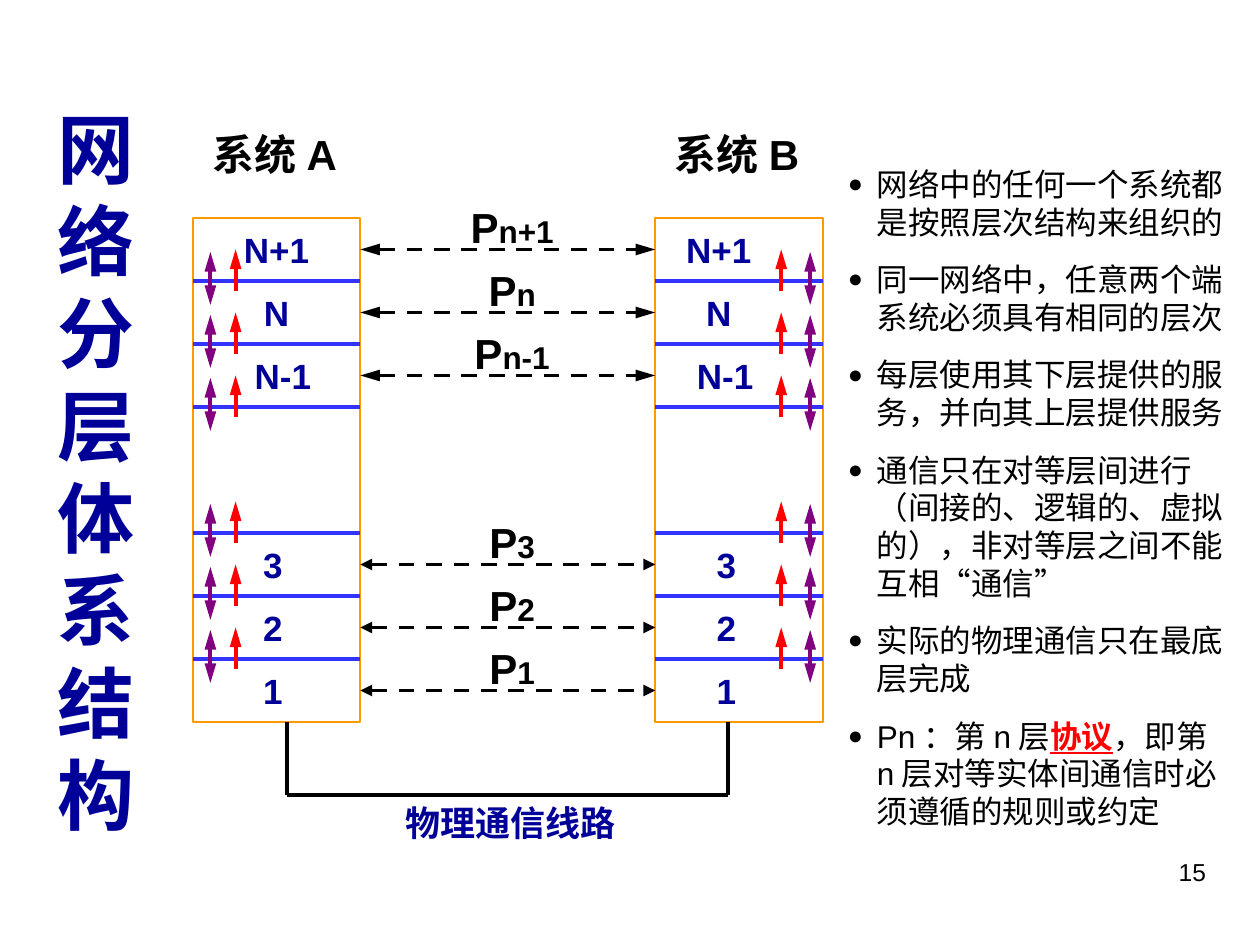
from lxml import etree
from pptx import Presentation
from pptx.dml.color import RGBColor
from pptx.enum.dml import MSO_LINE
from pptx.enum.shapes import MSO_CONNECTOR, MSO_SHAPE
from pptx.enum.text import MSO_ANCHOR, MSO_AUTO_SIZE, PP_ALIGN
from pptx.oxml.ns import qn
from pptx.util import Inches, Pt

STRAIGHT, RECT = MSO_CONNECTOR.STRAIGHT, MSO_SHAPE.RECTANGLE
LEFT, CENTER, RIGHT = PP_ALIGN.LEFT, PP_ALIGN.CENTER, PP_ALIGN.RIGHT
TOP, MIDDLE = MSO_ANCHOR.TOP, MSO_ANCHOR.MIDDLE
DASH, NO_FIT = MSO_LINE.DASH, MSO_AUTO_SIZE.NONE

BLACK = RGBColor(0x00, 0x00, 0x00)
WHITE = RGBColor(0xFF, 0xFF, 0xFF)
NAVY = RGBColor(0x00, 0x00, 0x99)
BLUE = RGBColor(0x33, 0x33, 0xFF)
ORANGE = RGBColor(0xFF, 0x99, 0x00)
RED = RGBColor(0xFF, 0x00, 0x00)
PURPLE = RGBColor(0x80, 0x00, 0x80)

ROW = 0.5
# layer name, protocol suffix, row counted from the top of a stack
LAYERS = [("N+1", "n+1", 0), ("N", "n", 1), ("N-1", "n-1", 2),
          ("3", "3", 5), ("2", "2", 6), ("1", "1", 7)]
GAP_ROW = 3
BORDERS = [1, 2, 3, 5, 6, 7]

POINTS = [
    "网络中的任何一个系统都是按照层次结构来组织的",
    "同一网络中，任意两个端系统必须具有相同的层次",
    "每层使用其下层提供的服务，并向其上层提供服务",
    "通信只在对等层间进行（间接的、逻辑的、虚拟的），非对等层之间不能互相“通信”",
    "实际的物理通信只在最底层完成",
    [("Pn：第n层", {}),
     ("协议", {"color": RED, "bold": True, "under": True}),
     ("，即第n层对等实体间通信时必须遵循的规则或约定", {})],
]


def add_bullet(para, indent):
    props = para._p.get_or_add_pPr()
    props.set("marL", str(Inches(indent)))
    props.set("indent", str(-Inches(indent)))
    color = etree.SubElement(props, qn("a:buClr"))
    etree.SubElement(color, qn("a:srgbClr"), val=str(BLACK))
    etree.SubElement(props, qn("a:buSzPct"), val="80000")
    etree.SubElement(props, qn("a:buFont"), typeface="Arial")
    etree.SubElement(props, qn("a:buChar"), char="●")


def write(frame, paras, size=18, color=BLACK, bold=False, align=LEFT,
          anchor=TOP, margins=(0.1, 0.05, 0.1, 0.05), indent=None, before=0):
    """Fill a frame; each paragraph is a string or a list of (text, format)."""
    frame.word_wrap = True
    frame.auto_size = NO_FIT
    frame.vertical_anchor = anchor
    (frame.margin_left, frame.margin_top,
     frame.margin_right, frame.margin_bottom) = map(Inches, margins)
    for num, runs in enumerate(paras):
        para = frame.add_paragraph() if num else frame.paragraphs[0]
        if indent:
            add_bullet(para, indent)
        para.alignment = align
        para.space_before = Pt(before if num else 0)
        for text, fmt in [(runs, {})] if isinstance(runs, str) else runs:
            run = para.add_run()
            run.text = text
            font = run.font
            font.name = "Arial"
            font.size = Pt(fmt.get("size", size))
            font.bold = fmt.get("bold", bold)
            font.underline = fmt.get("under", False)
            font.color.rgb = fmt.get("color", color)


def place(shape, x, y, w, h):
    shape.left, shape.top = Inches(x), Inches(y)
    shape.width, shape.height = Inches(w), Inches(h)


def add_label(slide, box, runs, **fmt):
    label = slide.shapes.add_textbox(*map(Inches, box))
    write(label.text_frame, [runs], **fmt)


def add_line(slide, x1, y1, x2, y2, color, ends=(), length="lg", dash=None):
    """Draw a line; ends names the arrowheads, headEnd before tailEnd."""
    line = slide.shapes.add_connector(STRAIGHT, *map(Inches, (x1, y1, x2, y2)))
    line.line.color.rgb = color
    line.line.width = Pt(2.25)
    if dash:
        line.line.dash_style = dash
    stroke = line.line._get_or_add_ln()
    for end in ends:
        etree.SubElement(stroke, qn("a:" + end), type="triangle",
                         w="med", len=length)
    etree.SubElement(line._element.spPr, qn("a:effectLst"))


def add_cell(slide, x, y, w, h):
    cell = slide.shapes.add_shape(RECT, *map(Inches, (x, y, w, h)))
    cell.shadow.inherit = False
    cell.fill.solid()
    cell.fill.fore_color.rgb = WHITE
    cell.line.color.rgb = ORANGE
    cell.line.width = Pt(1)
    return cell


def add_stack(slide, x, y, w, name, shifts, up, both):
    """Draw one system; up and both are the arrow columns."""
    add_label(slide, (x - 0.06, y - 0.76, 1.42, 0.5), name,
              size=24, bold=True, align=CENTER)
    for (layer, _, row), shift in zip(LAYERS, shifts):
        cell = add_cell(slide, x, y + row * ROW, w, ROW)
        write(cell.text_frame, [layer], size=20, color=NAVY, bold=True,
              align=CENTER, anchor=MIDDLE,
              margins=(0.3 + shift, 0.05, 0.3 - shift, 0.05))
    add_cell(slide, x, y + GAP_ROW * ROW, w, 2 * ROW)
    for row in BORDERS:
        edge = y + row * ROW
        add_line(slide, x, edge, x + w, edge, BLUE)
        add_line(slide, x + up, edge + 0.08, x + up, edge - 0.25, RED,
                 ["tailEnd"])
        add_line(slide, x + both, edge + 0.19, x + both, edge - 0.23, PURPLE,
                 ["headEnd", "tailEnd"])


def add_links(slide, x, y, w):
    """Draw the protocol arrows between equal layers."""
    for _, suffix, row in LAYERS:
        mid = y + (row + 0.5) * ROW
        add_label(slide, (x + w / 2 - 0.63, mid - 0.43, 1.33, 0.5),
                  [("P", {}), (suffix, {"size": 18})],
                  size=24, bold=True, align=CENTER)
        add_line(slide, x, mid, x + w, mid, BLACK, ["headEnd", "tailEnd"],
                 "lg" if row < GAP_ROW else "med", DASH)


def add_wire(slide, x, y, w, h):
    """Draw the physical line below the two stacks."""
    for side in (x, x + w):
        add_line(slide, side, y, side, y + h, BLACK)
    add_line(slide, x, y + h, x + w, y + h, BLACK)
    add_label(slide, (x + 0.84, y + h, 2, 0.44), "物理通信线路",
              size=20, color=NAVY, bold=True)


def add_scheme(slide, x, y, w):
    wide = 1.33
    add_stack(slide, x, y, wide, "系统A", (0, 0, 0.05, -0.03, -0.03, -0.03),
              up=0.34, both=0.14)
    add_stack(slide, x + w - wide, y, wide, "系统B",
              (-0.16, -0.16, -0.11, -0.1, -0.1, -0.1), up=1, both=1.23)
    add_links(slide, x + wide, y, w - 2 * wide)
    add_wire(slide, x + 0.75, y + 8 * ROW, w - 1.5, 0.58)


def add_title(slide, *box):
    title = slide.shapes.title
    place(title, *box)
    write(title.text_frame, ["网络分层体系结构"], size=44, color=NAVY,
          bold=True, align=CENTER, anchor=MIDDLE)


def add_points(slide, *box):
    body = slide.placeholders[1]
    place(body, *box)
    write(body.text_frame, POINTS, margins=(0, 0, 0.08, 0),
          indent=0.23, before=11.2)


def main():
    deck = Presentation()
    deck.slide_width, deck.slide_height = Inches(10), Inches(7.5)
    slide = deck.slides.add_slide(deck.slide_layouts[1])
    add_title(slide, 0.2, 0.73, 1.13, 6.01)
    add_scheme(slide, 1.53, 1.73, 5)
    add_points(slide, 6.73, 1.31, 3.07, 5.28)
    add_label(slide, (7.17, 6.75, 2.5, 0.52), "15", size=14, align=RIGHT)
    deck.save("out.pptx")


if __name__ == "__main__":
    main()
